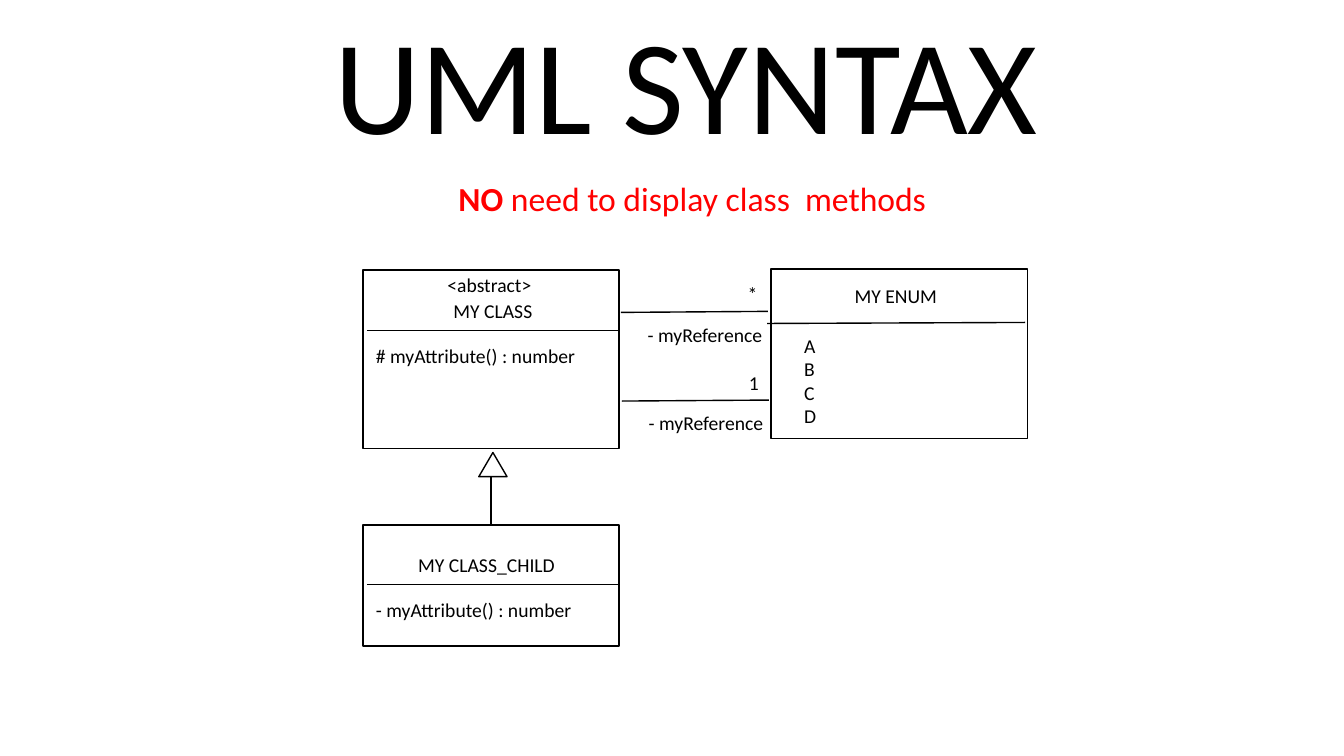
"""Build the UML syntax slide on a grid of 160 columns by 90 rows."""
from dataclasses import dataclass

from lxml.etree import SubElement
from pptx import Presentation
from pptx.dml.color import RGBColor
from pptx.enum.shapes import MSO_CONNECTOR, MSO_SHAPE
from pptx.enum.text import MSO_AUTO_SIZE
from pptx.oxml.ns import qn
from pptx.shapes.autoshape import Shape
from pptx.shapes.connector import Connector
from pptx.slide import Slide
from pptx.util import Inches, Length, Pt

COLUMNS = 160
SLIDE_WIDTH = Inches(13.33)
SLIDE_HEIGHT = Inches(7.5)


@dataclass(frozen=True)
class Theme:
    font: str = "Calibri"
    ink: RGBColor = RGBColor(0, 0, 0)
    paper: RGBColor = RGBColor(255, 255, 255)
    alert: RGBColor = RGBColor(255, 0, 0)
    title_size: int = 96
    notice_size: int = 24
    body_size: int = 14
    line_width: int = 1


THEME = Theme()


@dataclass(frozen=True)
class Label:
    text: str
    left: float
    top: float
    width: float
    height: float = 4.08
    size: int = THEME.body_size
    color: RGBColor = THEME.ink
    bold_lead: str = ""


@dataclass(frozen=True)
class Rule:
    left: float
    top: float
    right: float
    bottom: float


@dataclass(frozen=True)
class Figure:
    left: float
    top: float
    width: float
    height: float
    kind: MSO_SHAPE = MSO_SHAPE.RECTANGLE


@dataclass(frozen=True)
class Association:
    left: float
    top: float
    multiplicity: str


CLASS_BOX = Figure(43.2, 32.16, 30.5, 21.24)
ENUM_BOX = Figure(91.8, 32.04, 30.5, 20.16)
CHILD_BOX = Figure(43.2, 62.52, 30.5, 14.4)
ARROWHEAD = Figure(57, 53.88, 3.36, 2.88, MSO_SHAPE.ISOSCELES_TRIANGLE)

DIVIDERS = (
    Rule(43.68, 39.36, 73.7, 39.36),
    Rule(91.32, 38.52, 122.04, 38.4),
    Rule(43.68, 69.6, 73.7, 69.6),
)

ASSOCIATIONS = (
    Association(73.92, 37.2, "*"),
    Association(74.04, 47.76, "1"),
)

LABELS = (
    Label("UML SYNTAX", 38.64, -0.6, 87, 20.64, THEME.title_size),
    Label(" need to display class  methods", 53.4, 20.64, 58.44, 6,
          THEME.notice_size, THEME.alert, "NO"),
    Label("<abstract>", 52.08, 31.92, 12.6),
    Label("MY CLASS", 52.8, 35.04, 11.88),
    Label("# myAttribute() : number", 43.56, 40.32, 26.4),
    Label("MY ENUM", 100.56, 33.24, 12.36),
    Label("A\nB\nC\nD", 94.56, 39.12, 3.84, 12.48),
    Label("MY CLASS_CHILD", 48.6, 65.28, 18.84),
    Label("- myAttribute() : number", 43.56, 70.56, 25.92),
)


def grid(units: float) -> Length:
    """Turn grid units into a slide length."""
    return Length(round(units * SLIDE_WIDTH / COLUMNS))


def draw_figure(page: Slide, figure: Figure) -> Shape:
    """Draw an outlined shape."""
    shape = page.shapes.add_shape(
        figure.kind, grid(figure.left), grid(figure.top),
        grid(figure.width), grid(figure.height))
    shape.shadow.inherit = False
    shape.fill.solid()
    shape.fill.fore_color.rgb = THEME.paper
    shape.line.color.rgb = THEME.ink
    shape.line.width = Pt(THEME.line_width)
    return shape


def draw_rule(page: Slide, rule: Rule) -> Connector:
    """Draw a straight line without a shadow."""
    line = page.shapes.add_connector(
        MSO_CONNECTOR.STRAIGHT, grid(rule.left), grid(rule.top),
        grid(rule.right), grid(rule.bottom))
    line.line.color.rgb = THEME.ink
    line.line.width = Pt(THEME.line_width)
    SubElement(line._element.spPr, qn("a:effectLst"))
    return line


def draw_label(page: Slide, label: Label) -> None:
    """Write unwrapped text, with an optional bold lead."""
    box = page.shapes.add_textbox(
        grid(label.left), grid(label.top), grid(label.width), grid(label.height))
    frame = box.text_frame
    frame.word_wrap = False
    frame.auto_size = MSO_AUTO_SIZE.SHAPE_TO_FIT_TEXT
    frame.text = label.bold_lead or label.text
    if label.bold_lead:
        frame.paragraphs[0].runs[0].font.bold = True
        frame.paragraphs[0].add_run().text = label.text
    for para in frame.paragraphs:
        for span in para.runs:
            span.font.name = THEME.font
            span.font.size = Pt(label.size)
            span.font.color.rgb = label.color


def draw_association(page: Slide, link: Association) -> None:
    """Draw an association with its multiplicity and reference name."""
    draw_rule(page, Rule(link.left, link.top, link.left + 17.5, link.top - 0.12))
    draw_label(page, Label(link.multiplicity, link.left + 13.92, link.top - 4.2, 3.6))
    draw_label(page, Label("- myReference", link.left + 2, link.top + 0.6, 16.2))


def draw_inheritance(page: Slide, child: Shape) -> None:
    """Join the child class to the hollow arrowhead."""
    draw_figure(page, ARROWHEAD)
    center = CHILD_BOX.left + CHILD_BOX.width / 2
    stem = draw_rule(page, Rule(
        center, CHILD_BOX.top, center, ARROWHEAD.top + ARROWHEAD.height))
    stem.begin_connect(child, 0)


def main() -> None:
    """Build and save the deck."""
    deck = Presentation()
    deck.slide_width = SLIDE_WIDTH
    deck.slide_height = SLIDE_HEIGHT
    page = deck.slides.add_slide(deck.slide_layouts[6])
    for figure in (CLASS_BOX, ENUM_BOX):
        draw_figure(page, figure)
    draw_inheritance(page, draw_figure(page, CHILD_BOX))
    for divider in DIVIDERS:
        draw_rule(page, divider)
    for link in ASSOCIATIONS:
        draw_association(page, link)
    for label in LABELS:
        draw_label(page, label)
    deck.save("out.pptx")


if __name__ == "__main__":
    main()
